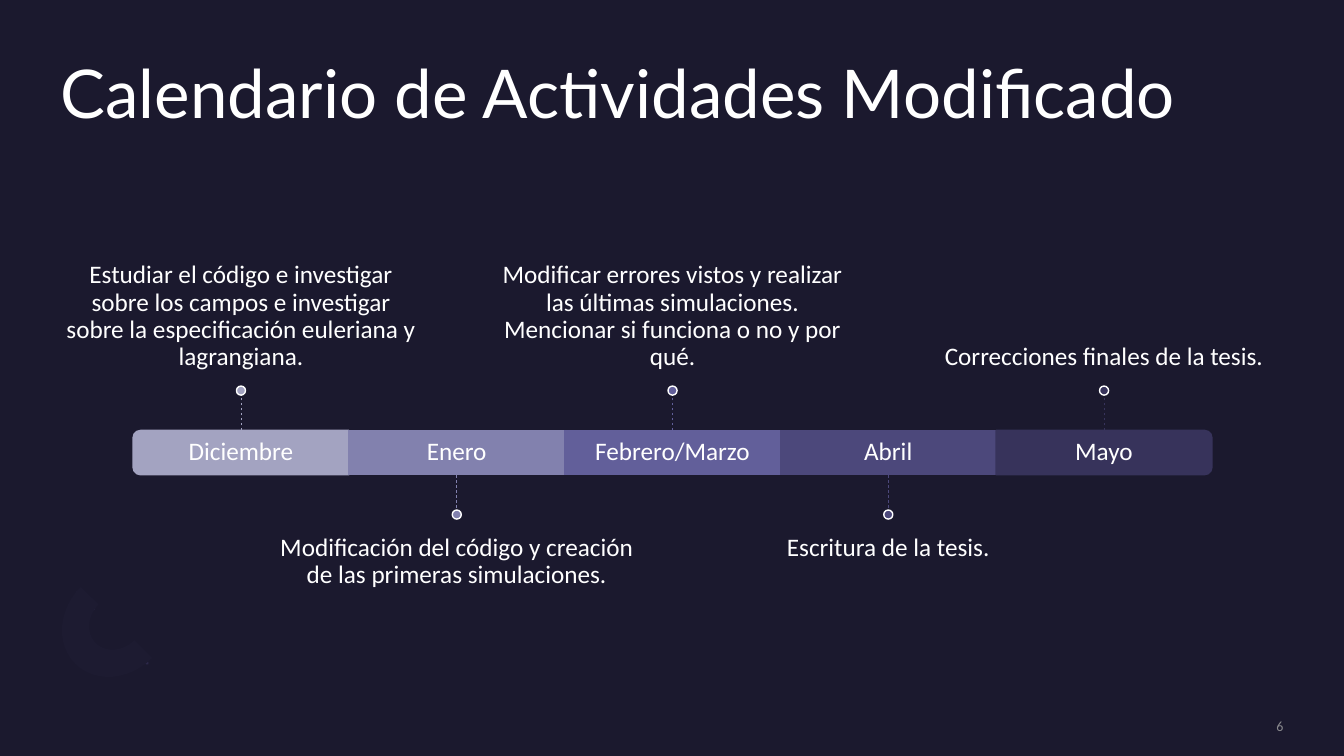
from math import cos, pi, sin

from lxml.etree import SubElement
from pptx import Presentation
from pptx.dml.color import RGBColor
from pptx.enum.dml import MSO_LINE
from pptx.enum.shapes import MSO_CONNECTOR, MSO_SHAPE as SHAPE
from pptx.enum.text import MSO_ANCHOR as ANCHOR, PP_ALIGN as ALIGN
from pptx.oxml.ns import qn
from pptx.util import Inches, Pt

WHITE = "FFFFFF"


def paint(shape, fill, outline=None):
    """Give a shape a flat fill and, if asked, a 1 pt outline."""
    shape.shadow.inherit = False
    shape.fill.solid()
    shape.fill.fore_color.rgb = RGBColor.from_string(fill)
    if outline:
        shape.line.color.rgb = RGBColor.from_string(outline)
        shape.line.width = Pt(1)
    else:
        shape.line.fill.background()


def add_text(text, left, top, width, height, size=18, font="Calibri", color=WHITE,
             align=ALIGN.CENTER, anchor=ANCHOR.MIDDLE, spacing=0.9, inset_top=0, inset_bottom=0):
    frame = slide.shapes.add_textbox(
        Inches(left), Inches(top), Inches(width), Inches(height)).text_frame
    frame.word_wrap = True
    frame.vertical_anchor = anchor
    frame.margin_left = frame.margin_right = 0
    frame.margin_top, frame.margin_bottom = Inches(inset_top), Inches(inset_bottom)
    paragraph = frame.paragraphs[0]
    paragraph.alignment = align
    paragraph.line_spacing = spacing
    run = paragraph.add_run()
    run.text = text
    run.font.size = Pt(size)
    run.font.name = font
    run.font.color.rgb = RGBColor.from_string(color)


prs = Presentation()
prs.slide_width, prs.slide_height = Inches(13.33), Inches(7.5)
slide = prs.slides.add_slide(prs.slide_layouts[6])
slide.background.fill.solid()
slide.background.fill.fore_color.rgb = RGBColor.from_string("1B192E")

# Corner decoration: two slim ellipses and a faint arch
for left, top in [(1.35, 6.37), (0.82, 5.83)]:
    petal = slide.shapes.add_shape(
        SHAPE.OVAL, Inches(left), Inches(top), Inches(0.06), Inches(0.26))
    petal.rotation = 135
    paint(petal, "2C284A")

STEPS = 24
angles = [pi * step / STEPS for step in range(STEPS + 1)]
outer = [(0.5 * cos(a), 0.58 * sin(a)) for a in angles]
inner = [(0.25 * cos(a), 0.29 * sin(a)) for a in reversed(angles)]
points = [(Inches(0.95 + x), Inches(6.09 + y)) for x, y in outer + inner]
builder = slide.shapes.build_freeform(*points[0])
builder.add_line_segments(points[1:])
arch = builder.convert_to_shape()
arch.rotation = 45
paint(arch, "1D1B31")

add_text("Calendario de Actividades Modificado", 0.6, 0.6, 12.13, 1.46,
         size=48, font="Lato", align=ALIGN.LEFT, anchor=ANCHOR.TOP)

# Timeline: activities alternate above and below the bar of months
BAR_LEFT, BAR_TOP, MONTH_WIDTH, BAR_HEIGHT = 1.32, 4.27, 2.14, 0.44
STEM, DOT = 0.35, 0.09
NOTE_WIDTH, NOTE_HEIGHT = 3.57, 1.52
months = [
    ("Diciembre", "A3A3C1", "Estudiar el código e investigar sobre los campos e investigar "
     "sobre la especificación euleriana y lagrangiana."),
    ("Enero", "8281AE", "Modificación del código y creación de las primeras simulaciones."),
    ("Febrero/Marzo", "625F9A", "Modificar errores vistos y realizar las últimas simulaciones. "
     "Mencionar si funciona o no y por qué."),
    ("Abril", "4C487B", "Escritura de la tesis."),
    ("Mayo", "37335B", "Correcciones finales de la tesis."),
]
end_rotations = {0: 270, len(months) - 1: 90}

for index, (month, color, activity) in enumerate(months):
    left = BAR_LEFT + index * MONTH_WIDTH
    center = left + MONTH_WIDTH / 2
    if index in end_rotations:
        segment = slide.shapes.add_shape(
            SHAPE.ROUND_2_SAME_RECTANGLE, Inches(center - BAR_HEIGHT / 2),
            Inches(BAR_TOP + (BAR_HEIGHT - MONTH_WIDTH) / 2),
            Inches(BAR_HEIGHT), Inches(MONTH_WIDTH))
        segment.rotation = end_rotations[index]
    else:
        segment = slide.shapes.add_shape(
            SHAPE.RECTANGLE, Inches(left), Inches(BAR_TOP),
            Inches(MONTH_WIDTH), Inches(BAR_HEIGHT))
    paint(segment, color, color)
    add_text(month, left, BAR_TOP, MONTH_WIDTH, BAR_HEIGHT, inset_top=0.15, inset_bottom=0.15)

    note_left = center - NOTE_WIDTH / 2
    if index % 2 == 0:
        stem_start, stem_end = BAR_TOP, BAR_TOP - STEM
        dot_top = stem_end - DOT
        add_text(activity, note_left, dot_top - NOTE_HEIGHT, NOTE_WIDTH, NOTE_HEIGHT,
                 anchor=ANCHOR.BOTTOM, inset_bottom=0.15)
    else:
        stem_start, stem_end = BAR_TOP + BAR_HEIGHT, BAR_TOP + BAR_HEIGHT + STEM
        dot_top = stem_end
        add_text(activity, note_left, dot_top + DOT, NOTE_WIDTH, NOTE_HEIGHT,
                 anchor=ANCHOR.TOP, inset_top=0.15)

    stem = slide.shapes.add_connector(
        MSO_CONNECTOR.STRAIGHT, Inches(center), Inches(stem_start),
        Inches(center), Inches(stem_end))
    stem.line.color.rgb = RGBColor.from_string(color)
    stem.line.width = Pt(0.5)
    stem.line.dash_style = MSO_LINE.DASH
    SubElement(stem._element.spPr, qn("a:effectLst"))
    dot = slide.shapes.add_shape(
        SHAPE.OVAL, Inches(center - DOT / 2), Inches(dot_top), Inches(DOT), Inches(DOT))
    paint(dot, color, WHITE)

add_text("6", 10.88, 7.12, 1.85, 0.17, size=10, color="8A8A8E", align=ALIGN.RIGHT, spacing=1.0)

prs.save("out.pptx")
